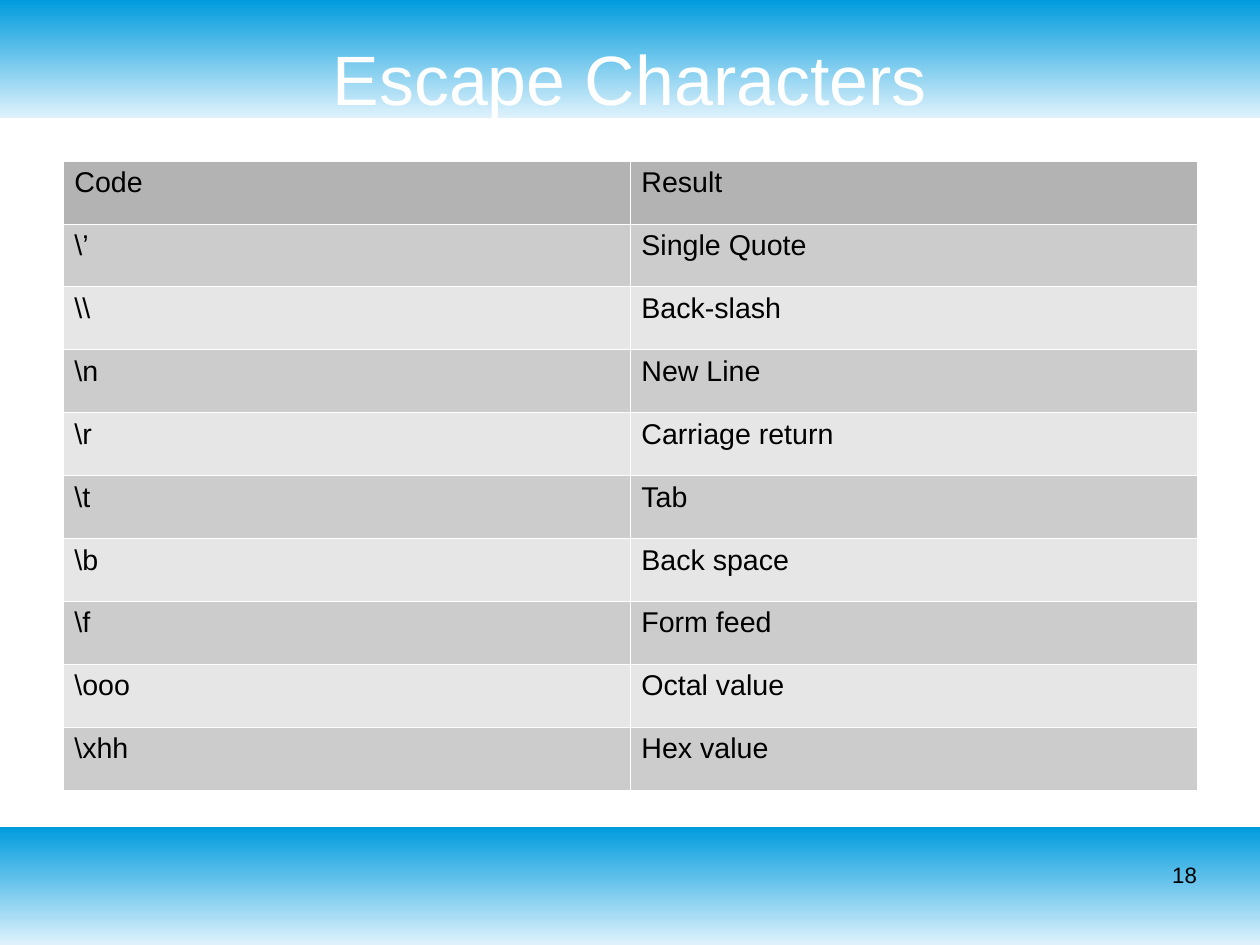
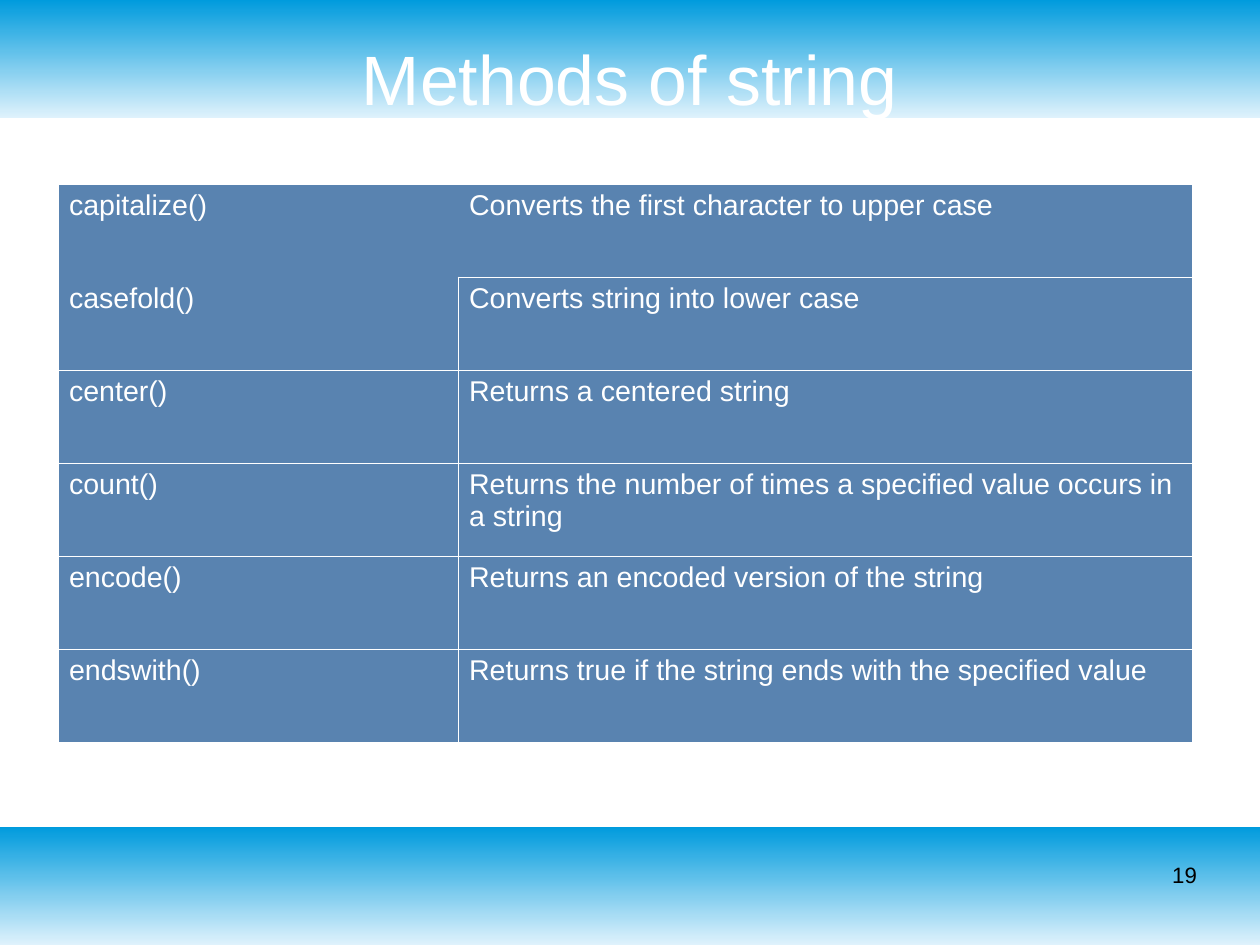
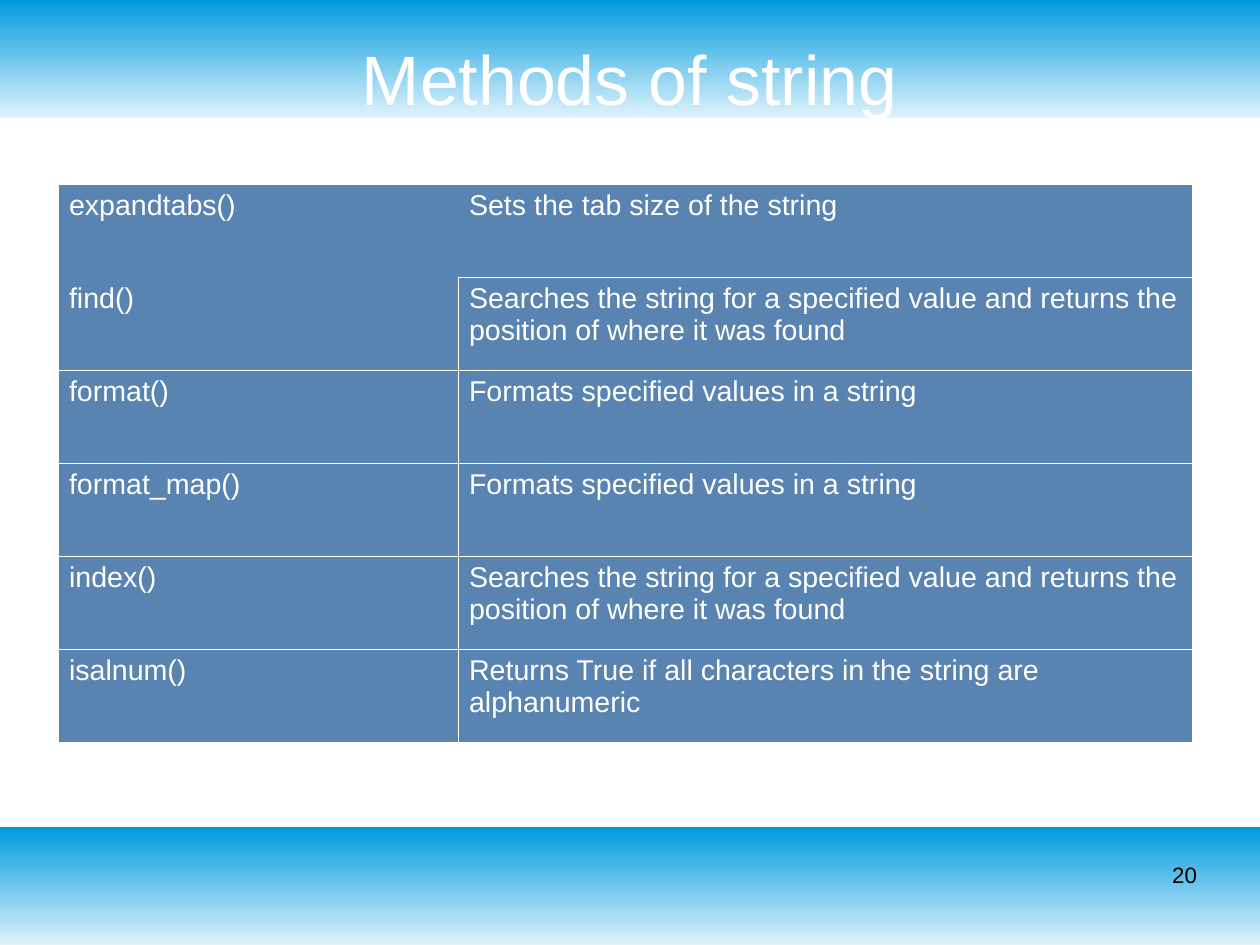
from lxml import etree
from pptx import Presentation
from pptx.dml.color import RGBColor
from pptx.enum import shapes, text
from pptx.oxml import ns
from pptx.util import Cm, Pt

PAGE_W, PAGE_H = 28, 21
MARGIN = 1.4
CONTENT_W = PAGE_W - 2 * MARGIN
BAND_H = 2.62
TITLE_H = 1.78
NO_STYLE = "{2D5ABB26-0587-4C30-8999-92F81FD0307C}"

WHITE, BLACK, STEEL = "FFFFFF", "000000", "5983B0"
GREY_HEAD, GREY_ODD, GREY_EVEN = "B3B3B3", "CCCCCC", "E6E6E6"
BAND_STOPS = ("DFF2FC", "009BDD")

TITLE_FONT = {"name": "Arial", "size": Pt(44)}
CELL_FONT = {"name": "Arial", "size": Pt(18)}
NUMBER_FONT = {"name": "Arial", "size": Pt(14)}
NO_INSETS = {"margin_left": 0, "margin_right": 0, "margin_top": 0,
             "margin_bottom": 0, "word_wrap": True}


def rgb(hex_colour):
    return RGBColor.from_string(hex_colour)


def apply(target, values):
    for name, value in values.items():
        setattr(target, name, value)


class Deck:
    """Holds the shared style and the current slide."""

    def __init__(self, first_number):
        self.prs = Presentation()
        apply(self.prs, {"slide_width": Cm(PAGE_W), "slide_height": Cm(PAGE_H)})
        self.layout = self.prs.slide_layouts.get_by_name("Title Only")
        self.number = first_number
        self.slide = None

    def new_slide(self, title):
        first = self.slide is None
        self.slide = self.prs.slides.add_slide(self.layout)
        if first:
            self.master_bands()
        self.title(title)

    def master_bands(self):
        """Draw the top and bottom bands once and hand them to the master."""
        tree = self.prs.slide_master.shapes.element
        for index, top in enumerate((0, PAGE_H - BAND_H)):
            band = self.slide.shapes.add_shape(
                shapes.MSO_SHAPE.RECTANGLE, 0, Cm(top), Cm(PAGE_W), Cm(BAND_H))
            band.shadow.inherit = False
            band.line.fill.background()
            band.fill.gradient()
            band.fill.gradient_angle = 90
            for stop, colour in zip(band.fill.gradient_stops, BAND_STOPS):
                stop.color.rgb = rgb(colour)
            band.element.nvSpPr.cNvPr.set("id", str(100 + index))
            tree.insert(2 + index, band.element)

    def add_words(self, paragraph, words, font, colour, align=None):
        run = paragraph.add_run()
        run.text = words
        apply(run.font, font)
        run.font.color.rgb = rgb(colour)
        paragraph.alignment = align

    def title(self, words):
        heading = self.slide.shapes.title
        apply(heading, {"left": Cm(MARGIN), "top": Cm(BAND_H - TITLE_H),
                        "width": Cm(CONTENT_W), "height": Cm(TITLE_H)})
        frame = heading.text_frame
        apply(frame, NO_INSETS)
        apply(frame, {"vertical_anchor": text.MSO_ANCHOR.MIDDLE,
                      "auto_size": text.MSO_AUTO_SIZE.SHAPE_TO_FIT_TEXT})
        self.add_words(frame.paragraphs[0], words, TITLE_FONT, WHITE,
                       text.PP_ALIGN.CENTER)

    def page_number(self):
        width = 6.52
        box = self.slide.shapes.add_textbox(
            Cm(PAGE_W - MARGIN - width), Cm(19.13), Cm(width), Cm(1.45))
        apply(box.text_frame, NO_INSETS)
        self.add_words(box.text_frame.paragraphs[0], str(self.number),
                       NUMBER_FONT, BLACK, text.PP_ALIGN.RIGHT)
        self.number += 1

    def table(self, rows, left, top, widths, row_h, fills, colour, open_edges):
        """fills gives one colour a row; open_edges maps a cell to its bare sides."""
        grid = self.slide.shapes.add_table(
            len(rows), len(widths), Cm(left), Cm(top),
            Cm(sum(widths)), Cm(row_h * len(rows))).table
        apply(grid, {"first_row": False, "horz_banding": False})
        grid._tbl.tblPr.find(ns.qn("a:tableStyleId")).text = NO_STYLE
        for column, width in zip(grid.columns, widths):
            column.width = Cm(width)
        for r, (row, fill) in enumerate(zip(rows, fills)):
            grid.rows[r].height = Cm(row_h)
            for c, words in enumerate(row):
                cell = grid.cell(r, c)
                cell.fill.solid()
                cell.fill.fore_color.rgb = rgb(fill)
                self.borders(cell, open_edges.get((r, c), ""))
                self.add_words(cell.text_frame.paragraphs[0], words,
                               CELL_FONT, colour)

    def borders(self, cell, bare):
        """White hairlines on every side not named in bare."""
        properties = cell._tc.get_or_add_tcPr()
        sides = [side for side in "LRTB" if side not in bare]
        for index, side in enumerate(sides):
            line = etree.Element(ns.qn(f"a:ln{side}"), w="720")
            solid = etree.SubElement(line, ns.qn("a:solidFill"))
            etree.SubElement(solid, ns.qn("a:srgbClr"), val=WHITE)
            properties.insert(index, line)

    def escape_table(self, rows):
        fills = [GREY_HEAD] + [GREY_EVEN if r % 2 else GREY_ODD
                               for r in range(len(rows) - 1)]
        self.table(rows, MARGIN, 3.57, (CONTENT_W / 2,) * 2, 1.4,
                   fills, BLACK, {})

    def method_table(self, rows):
        # The first name cell stays open towards its neighbours
        open_edges = {(0, 0): "RB", (0, 1): "L", (1, 0): "T"}
        self.table(rows, 1.28, 4.08, (8.89, 16.31), 2.07,
                   [STEEL] * len(rows), WHITE, open_edges)


ESCAPES = [
    ("Code", "Result"),
    (r"\’", "Single Quote"),
    (r"\\", "Back-slash"),
    (r"\n", "New Line"),
    (r"\r", "Carriage return"),
    (r"\t", "Tab"),
    (r"\b", "Back space"),
    (r"\f", "Form feed"),
    (r"\ooo", "Octal value"),
    (r"\xhh", "Hex value"),
]

FORMATS = "Formats specified values in a string"
SEARCHES = ("Searches the string for a specified value and returns "
            "the position of where it was found")

METHOD_PAGES = [
    [
        ("capitalize()", "Converts the first character to upper case"),
        ("casefold()", "Converts string into lower case"),
        ("center()", "Returns a centered string"),
        ("count()", "Returns the number of times a specified value occurs in a string"),
        ("encode()", "Returns an encoded version of the string"),
        ("endswith()", "Returns true if the string ends with the specified value"),
    ],
    [
        ("expandtabs()", "Sets the tab size of the string"),
        ("find()", SEARCHES),
        ("format()", FORMATS),
        ("format_map()", FORMATS),
        ("index()", SEARCHES),
        ("isalnum()", "Returns True if all characters in the string are alphanumeric"),
    ],
]


def main():
    deck = Deck(first_number=18)

    # Escape characters
    deck.new_slide("Escape Characters")
    deck.escape_table(ESCAPES)
    deck.page_number()

    # String methods, one page of six at a time
    for methods in METHOD_PAGES:
        deck.new_slide("Methods of string")
        deck.method_table(methods)
        deck.page_number()

    deck.prs.save("out.pptx")


if __name__ == "__main__":
    main()
